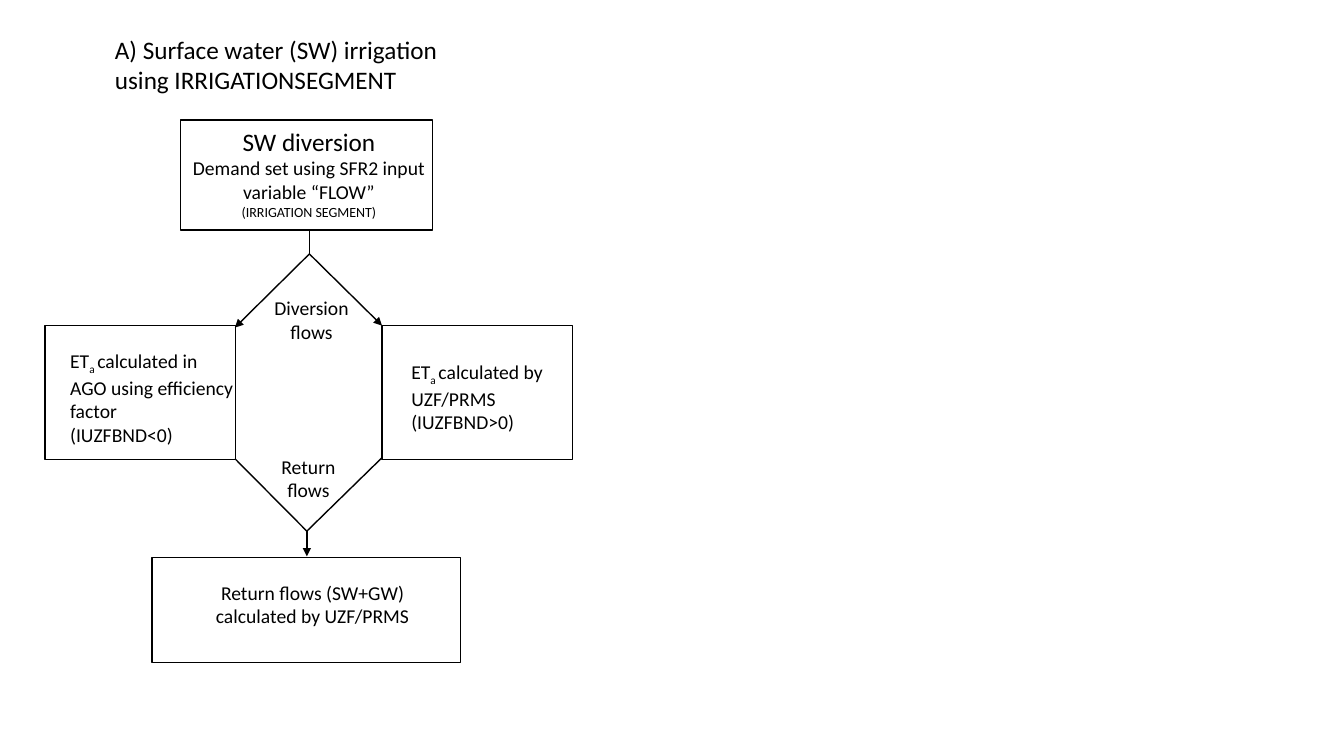
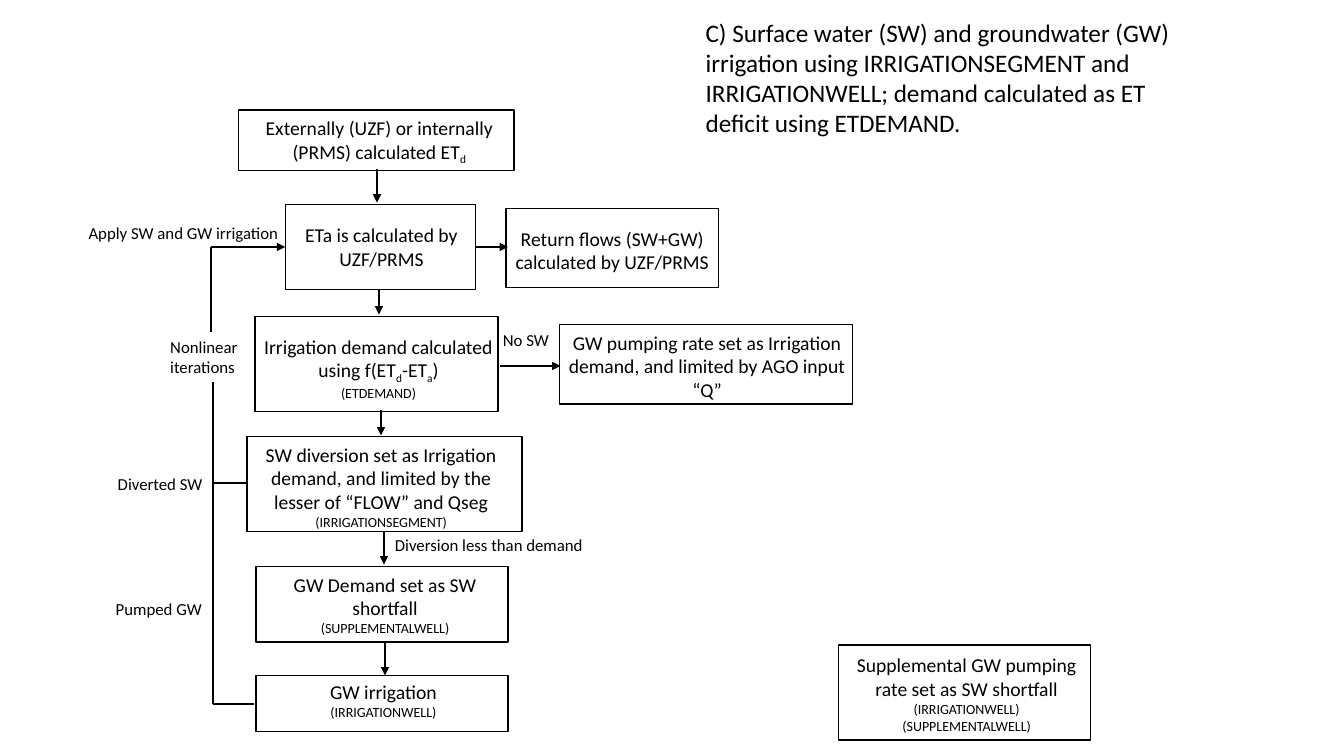
from dataclasses import dataclass
from typing import NamedTuple

from lxml.etree import SubElement
from pptx import Presentation
from pptx.dml.color import RGBColor
from pptx.enum.shapes import MSO_CONNECTOR as Conn, MSO_SHAPE as Shape
from pptx.enum.text import MSO_ANCHOR as Anchor, MSO_AUTO_SIZE as Auto, PP_ALIGN as Align
from pptx.oxml.ns import qn
from pptx.util import Pt

# Shared style
HUES = {"ink": "000000"}
FONT = {"name": "Calibri", "bold": False}
BIG, BODY, SMALL, NOTE = 18, 14, 12, 10
FRAME = {"word_wrap": True, "auto_size": Auto.NONE, "vertical_anchor": Anchor.TOP}
PAD = (7.2, 3.6, 7.2, 3.6)
TITLE_ONLY = 5


class Para(NamedTuple):
    """One paragraph; text between tildes is subscript."""
    text: str
    size: float = BODY


class Rect(NamedTuple):
    x: float
    y: float
    w: float
    h: float


@dataclass
class Box:
    """Outlined box; pad holds the left, top and right insets."""
    at: Rect
    paras: list[Para]
    pad: tuple[float, float, float]
    align: Align = Align.CENTER


@dataclass
class Label:
    at: Rect
    paras: list[Para]
    align: Align = Align.LEFT
    wrap: bool = False


@dataclass
class Line:
    start: tuple[float, float]
    end: tuple[float, float]
    arrow: bool = False


@dataclass
class Page:
    title: str
    at: Rect
    width: float
    boxes: list[Box]
    labels: list[Label]
    lines: list[Line]


def ink() -> RGBColor:
    return RGBColor.from_string(HUES["ink"])


def place(rect: Rect) -> list[Pt]:
    return [Pt(v) for v in rect]


def write(frame, paras: list[Para], align: Align, pad=PAD, wrap: bool = True) -> None:
    sides = ("left", "top", "right", "bottom")
    look = FRAME | {"word_wrap": wrap}
    look |= {f"margin_{side}": Pt(v) for side, v in zip(sides, pad)}
    for key, val in look.items():
        setattr(frame, key, val)
    for i, para in enumerate(paras):
        line = frame.add_paragraph() if i else frame.paragraphs[0]
        line.alignment = align
        for j, part in enumerate(para.text.split("~")):
            if not part:
                continue
            run = line.add_run()
            run.text = part
            for key, val in (FONT | {"size": Pt(para.size)}).items():
                setattr(run.font, key, val)
            run.font.color.rgb = ink()
            if j % 2:
                run._r.get_or_add_rPr().set("baseline", "-25000")


def add_box(slide, box: Box) -> None:
    rect = slide.shapes.add_shape(Shape.RECTANGLE, *place(box.at))
    rect.shadow.inherit = False
    rect.fill.background()
    rect.line.color.rgb = ink()
    rect.line.width = Pt(1)
    write(rect.text_frame, box.paras, box.align, (*box.pad, 0))


def add_label(slide, label: Label) -> None:
    area = slide.shapes.add_textbox(*place(label.at))
    write(area.text_frame, label.paras, label.align, wrap=label.wrap)


def add_line(slide, line: Line, width: float) -> None:
    ends = [Pt(v) for v in (*line.start, *line.end)]
    link = slide.shapes.add_connector(Conn.STRAIGHT, *ends)
    link.line.color.rgb = ink()
    link.line.width = Pt(width)
    if line.arrow:
        SubElement(link.line._get_or_add_ln(), qn("a:tailEnd"), type="triangle")
    SubElement(link._element.spPr, qn("a:effectLst"))


def add_page(deck, page: Page) -> None:
    slide = deck.slides.add_slide(deck.slide_layouts[TITLE_ONLY])
    title = slide.shapes.title
    for key, val in zip(("left", "top", "width", "height"), place(page.at)):
        setattr(title, key, val)
    write(title.text_frame, [Para(page.title, BIG)], Align.LEFT)
    for box in page.boxes:
        add_box(slide, box)
    for line in page.lines:
        add_line(slide, line, page.width)
    for label in page.labels:
        add_label(slide, label)


def tag(x: float, y: float, w: float, text: str) -> Label:
    return Label(Rect(x, y, w, 21.6), [Para(text, SMALL)])


# Text used on both slides
RETURN = [Para("Return flows (SW+GW) calculated by UZF/PRMS")]

# Slide 1: the two branches meet at the fork and join points
FORK, JOIN = (221, 181.4), (219.2, 379.4)
LEFT, RIGHT = 167.8, 272.9
SURFACE = Page(
    "A) Surface water (SW) irrigation using IRRIGATIONSEGMENT",
    Rect(74.9, 20.9, 283.7, 51.1), 1,
    boxes=[
        Box(Rect(128.9, 85.7, 180, 78.5),
            [Para("SW diversion", BIG),
             Para("Demand set using SFR2 input variable “FLOW”"),
             Para("(IRRIGATION SEGMENT)", NOTE)], (3.6, 4.3, 0)),
        Box(Rect(32.1, 232.6, 136, 95.8),
            [Para("ET~a ~calculated in AGO using efficiency factor"),
             Para("(IUZFBND<0)")], (18, 16.6, 1), Align.LEFT),
        Box(Rect(RIGHT, 232.6, 136, 95.8),
            [Para("ET~a ~calculated by UZF/PRMS"),
             Para("(IUZFBND>0)")], (20.9, 24.5, 0), Align.LEFT),
        Box(Rect(108.7, 398.2, 220.3, 74.9), RETURN, (23.8, 16.6, 15)),
    ],
    labels=[
        Label(Rect(186.9, 208.1, 71.3, 41),
              [Para("Diversion"), Para("flows")], Align.CENTER),
        Label(Rect(193.7, 321.1, 53.3, 41),
              [Para("Return"), Para("flows")], Align.CENTER),
    ],
    lines=[
        Line((FORK[0], 164.2), FORK),
        Line(FORK, (LEFT, 234), True),
        Line(FORK, (RIGHT, 232.6), True),
        Line((LEFT, 327.6), JOIN),
        Line((RIGHT, 326.9), JOIN),
        Line(JOIN, (JOIN[0], 397.4), True),
    ],
)

# Slide 2: a column of steps with a feedback loop on its left
LOOP = 152
DROPS = [(269.3, 121, 144.7), (270.7, 207.4, 224.6), (272.2, 293, 311),
         (274.3, 379.4, 403.2), (275, 458.6, 482.4)]
BOTH = Page(
    "C) Surface water (SW) and groundwater (GW) irrigation using "
    "IRRIGATIONSEGMENT and IRRIGATIONWELL; demand calculated as ET "
    "deficit using ETDEMAND.",
    Rect(496.8, 8.6, 360, 94.3), 1.5,
    boxes=[
        Box(Rect(170.6, 78.5, 196.6, 43.2),
            [Para("Externally (UZF) or internally (PRMS) calculated ET~d~")],
            (7.2, 4.3, 2.9)),
        Box(Rect(203.8, 146.2, 136, 60.5),
            [Para("ETa is calculated by UZF/PRMS")], (7.9, 13, 6.5)),
        Box(Rect(361.4, 149, 152, 56.2), RETURN, (0, 13, 0)),
        Box(Rect(182.2, 226.1, 173.5, 67.7),
            [Para("Irrigation demand calculated using f(ET~d~-ET~a~)"),
             Para("(ETDEMAND)", NOTE)], (5, 13, 2.2)),
        Box(Rect(399.6, 231.8, 209.5, 56.9),
            [Para("GW pumping rate set as Irrigation demand, "
                  "and limited by AGO input “Q”")], (5, 4.3, 3.6)),
        Box(Rect(176.4, 311.8, 196.6, 67.7),
            [Para("SW diversion set as Irrigation demand, and limited "
                  "by the lesser of “FLOW” and Qseg"),
             Para("(IRRIGATIONSEGMENT)", NOTE)], (2.2, 4.3, 7.2)),
        Box(Rect(182.9, 404.6, 180, 54),
            [Para("GW Demand set as SW shortfall"),
             Para("(SUPPLEMENTALWELL)", NOTE)], (8.6, 4.3, 4.3)),
        Box(Rect(182.9, 482.4, 180, 40.3),
            [Para("GW irrigation"), Para("(IRRIGATIONWELL)", NOTE)],
            (2, 3.6, 0)),
        Box(Rect(599, 460.8, 180, 67.7),
            [Para("Supplemental GW pumping rate set as SW shortfall"),
             Para("(IRRIGATIONWELL)", NOTE),
             Para("(SUPPLEMENTALWELL)", NOTE)], (3, 5.8, 0)),
    ],
    labels=[
        tag(56.2, 155.5, 151.2, "Apply SW and GW irrigation"),
        tag(352.1, 231.8, 86.4, "No SW"),
        tag(77, 334.8, 75.6, "Diverted SW"),
        tag(275, 378.7, 150.5, "Diversion less than demand"),
        tag(75.6, 424.1, 77, "Pumped GW"),
        Label(Rect(114.5, 236.9, 75.6, 36),
              [Para("Nonlinear iterations", SMALL)], wrap=True),
    ],
    lines=[Line((x, top), (x, end), True) for x, top, end in DROPS] + [
        Line((339.1, 176.4), (362.9, 176.4), True),
        Line((357.1, 261.4), (400.3, 261.4), True),
        Line((181.4, 502.9), (LOOP, 502.9)),
        Line((LOOP, 502.9), (LOOP, 272.9)),
        Line((177.1, 344.9), (LOOP, 344.9)),
        Line((150.5, 236.9), (150.5, 176.4)),
        Line((150.5, 176.4), (203.8, 176.4), True),
    ],
)


def main() -> None:
    deck = Presentation()
    deck.slide_width, deck.slide_height = Pt(960), Pt(540)
    for page in (SURFACE, BOTH):
        add_page(deck, page)
    deck.save("out.pptx")


if __name__ == "__main__":
    main()
